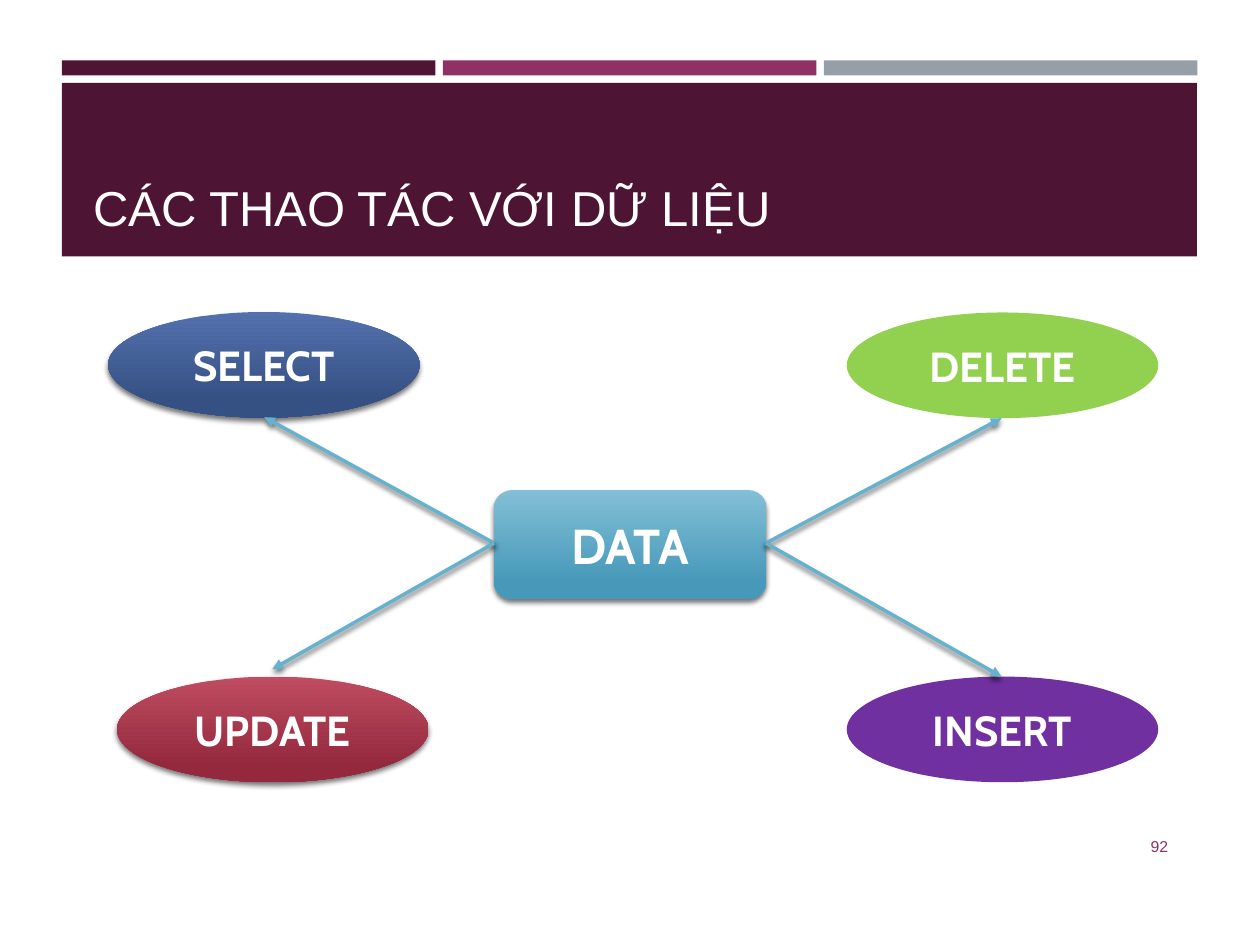
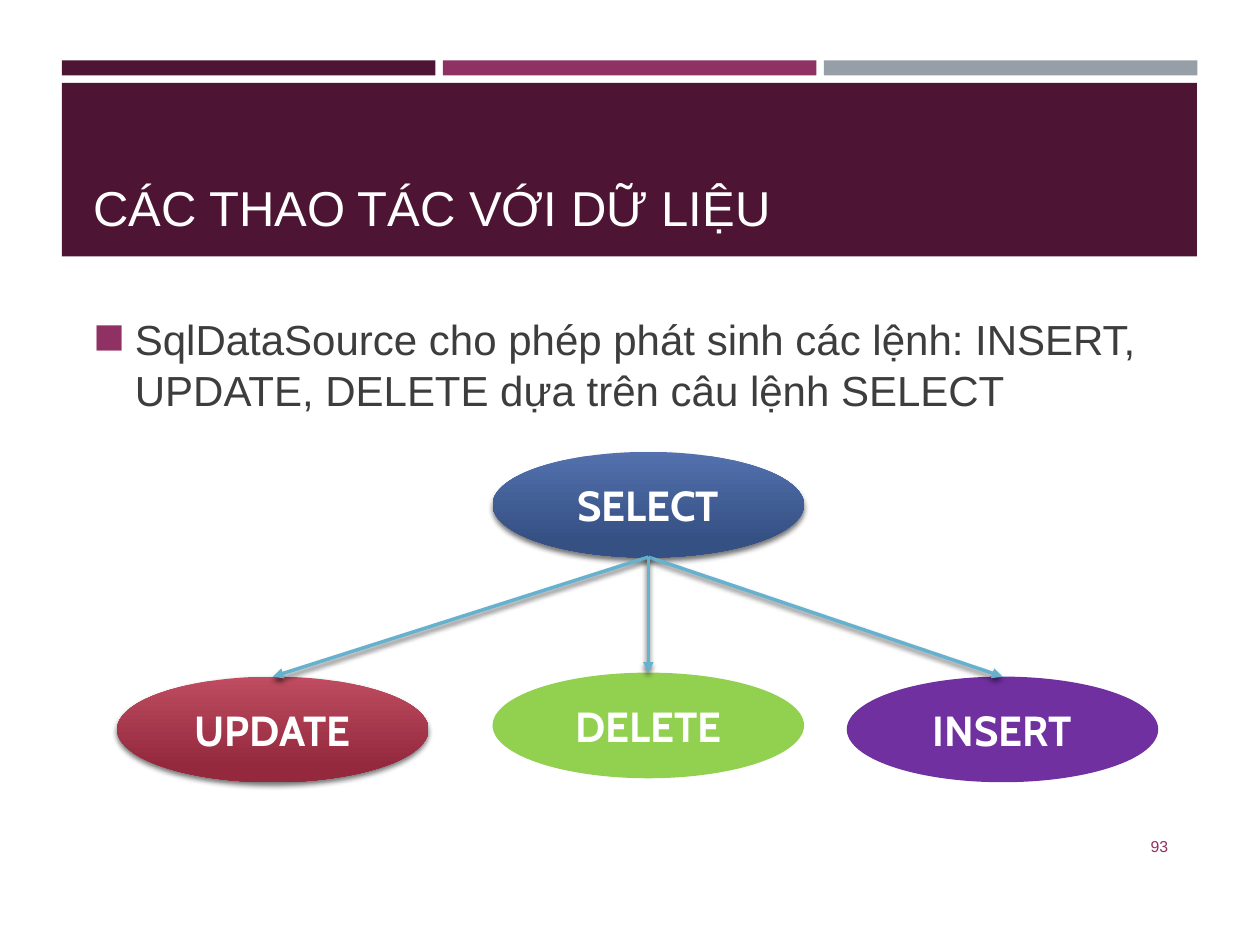
from lxml.etree import SubElement as Sub
from pptx import Presentation
from pptx.dml.color import RGBColor
from pptx.enum.shapes import MSO_CONNECTOR as LINK, MSO_SHAPE as FORM
from pptx.enum.text import MSO_ANCHOR as ANCHOR, PP_ALIGN as ALIGN
from pptx.oxml.ns import qn
from pptx.util import Cm, Pt

# Shared look
DARK, PLUM, GREY = "4D1434", "903163", "969FA7"
WHITE, INK, SKY = "FFFFFF", "3D3D3D", "66B1CE"
TITLE = "CÁC THAO TÁC VỚI DỮ LIỆU"
HEAD = {"name": "Arial", "size": Pt(28)}
BODY = {"name": "Arial", "size": Pt(24)}
FOOT = {"name": "Arial", "size": Pt(9)}
NODE = {"name": "Cabin", "size": Pt(24), "bold": True}
HUB = {**NODE, "size": Pt(28)}

# Node fills: one colour is flat, two make a gradient with a shadow
FILLS = {
    "SELECT": ["5371AE", "355083"],
    "UPDATE": ["BF4C60", "94293E"],
    "DELETE": ["92D050"],
    "INSERT": ["7030A0"],
    "DATA": ["83BFD6", "4799BA"],
}
OVAL = (6.28, 2.13)


def tint(code):
    return RGBColor.from_string(code)


def apply(item, values):
    for key, value in values.items():
        setattr(item, key, value)


def write(shape, text, font, color, anchor, align=ALIGN.LEFT):
    frame = shape.text_frame
    apply(frame, {"word_wrap": True, "vertical_anchor": anchor})
    para = frame.paragraphs[0]
    para.alignment = align
    run = para.add_run()
    run.text = text
    apply(run.font, font)
    run.font.color.rgb = tint(color)
    return para


def add_text(slide, box, *args):
    return write(slide.shapes.add_textbox(*map(Cm, box)), *args)


def add_form(slide, form, box):
    shape = slide.shapes.add_shape(form, *map(Cm, box))
    shape.shadow.inherit = False
    shape.line.fill.background()
    return shape


def add_band(slide, box, color):
    band = add_form(slide, FORM.RECTANGLE, box)
    band.fill.solid()
    band.fill.fore_color.rgb = tint(color)


def cast(effects):
    """Put a soft drop shadow into an effect list."""
    drop = Sub(effects, qn("a:outerShdw"), blurRad=str(Pt(3)),
               dist=str(Pt(2)), dir="5400000", algn="ctr", rotWithShape="0")
    shade = Sub(drop, qn("a:srgbClr"), val="000000")
    Sub(shade, qn("a:alpha"), val="55000")


def add_node(slide, name, left, top, size=OVAL, form=FORM.OVAL, font=NODE):
    node = add_form(slide, form, (left, top, *size))
    colors = FILLS[name]
    if len(colors) == 1:
        node.fill.solid()
        node.fill.fore_color.rgb = tint(colors[0])
    else:
        node.fill.gradient()
        node.fill.gradient_angle = 270
        for stop, place, code in zip(node.fill.gradient_stops, (0, 0.84), colors):
            stop.position = place
            stop.color.rgb = tint(code)
        cast(node.element.spPr.find(qn("a:effectLst")))
    write(node, name, font, WHITE, ANCHOR.MIDDLE, ALIGN.CENTER)


def add_arrow(slide, start, end):
    arrow = slide.shapes.add_connector(LINK.STRAIGHT, *map(Cm, start + end))
    arrow.line.color.rgb = tint(SKY)
    arrow.line.width = Pt(2)
    props = arrow.element.spPr
    Sub(props.find(qn("a:ln")), qn("a:tailEnd"), type="triangle")
    cast(Sub(props, qn("a:effectLst")))


def add_bullet(slide, box, text):
    para = add_text(slide, box, text, BODY, INK, ANCHOR.TOP)
    props = para._p.get_or_add_pPr()
    props.set("marL", str(Cm(0.84)))
    props.set("indent", str(-Cm(0.84)))
    Sub(Sub(props, qn("a:buClr")), qn("a:srgbClr"), val=PLUM)
    Sub(props, qn("a:buSzPct"), val="92000")
    Sub(props, qn("a:buChar"), char="◼")


def add_page(deck, number):
    slide = deck.slides.add_slide(deck.slide_layouts[6])
    for col, color in enumerate((DARK, PLUM, GREY)):
        add_band(slide, (1.25 + col * 7.68, 1.22, 7.53, 0.3), color)
    add_band(slide, (1.25, 1.67, 22.88, 3.5), DARK)
    add_text(slide, (1.63, 1.9, 22.2, 3), TITLE, HEAD, WHITE, ANCHOR.BOTTOM)
    add_text(slide, (21.67, 16.54, 2.13, 1.02), str(number), FOOT, PLUM,
             ANCHOR.MIDDLE, ALIGN.RIGHT)
    return slide


def draw_hub(deck):
    slide = add_page(deck, 92)
    add_node(slide, "INSERT", 17.07, 13.64)
    add_node(slide, "UPDATE", 2.36, 13.64)
    add_node(slide, "DELETE", 17.07, 6.3)
    add_node(slide, "SELECT", 2.18, 6.29)
    add_node(slide, "DATA", 9.96, 9.88, (5.49, 2.2), FORM.ROUNDED_RECTANGLE, HUB)
    # Arrows leave the two sides of the hub
    left, right = (9.96, 10.95), (15.44, 10.95)
    add_arrow(slide, left, (5.33, 8.41))
    add_arrow(slide, right, (20.19, 8.43))
    add_arrow(slide, left, (5.49, 13.49))
    add_arrow(slide, right, (20.19, 13.64))


def draw_tree(deck):
    slide = add_page(deck, 93)
    add_bullet(slide, (1.63, 6.2, 22.2, 10.08),
               "SqlDataSource cho phép phát sinh các lệnh: INSERT, "
               "UPDATE, DELETE dựa trên câu lệnh SELECT")
    leaves = {"INSERT": (17.07, 13.64), "UPDATE": (2.36, 13.64),
              "DELETE": (9.93, 13.56)}
    for name, spot in leaves.items():
        add_node(slide, name, *spot)
    add_node(slide, "SELECT", 9.93, 9.11)
    # Arrows run from the root to the top of each leaf
    for left, top in leaves.values():
        add_arrow(slide, (13.07, 11.23), (left + OVAL[0] / 2, top))


def main():
    deck = Presentation()
    apply(deck, {"slide_width": Cm(25.4), "slide_height": Cm(19.05)})
    draw_hub(deck)
    draw_tree(deck)
    deck.save("out.pptx")


if __name__ == "__main__":
    main()
